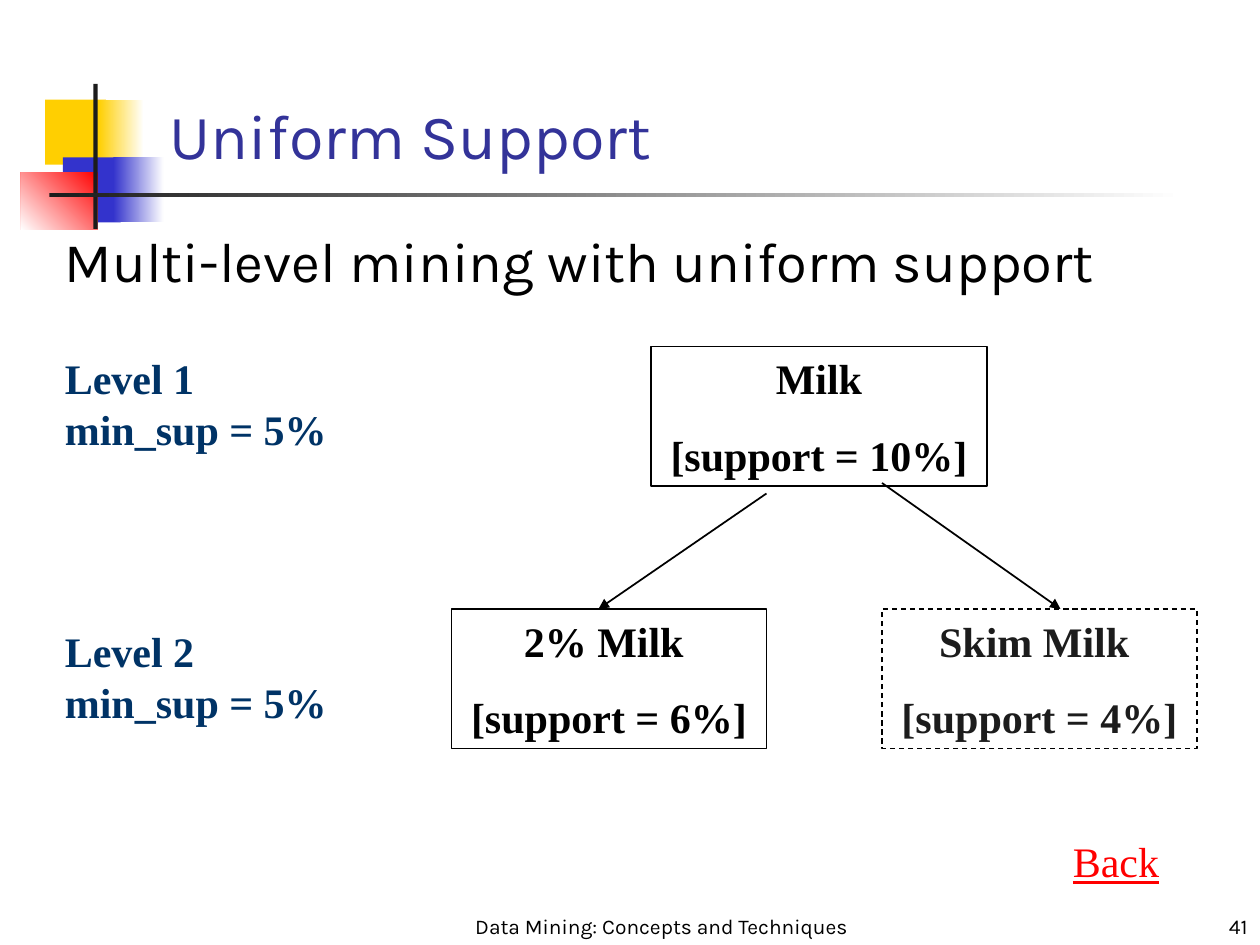
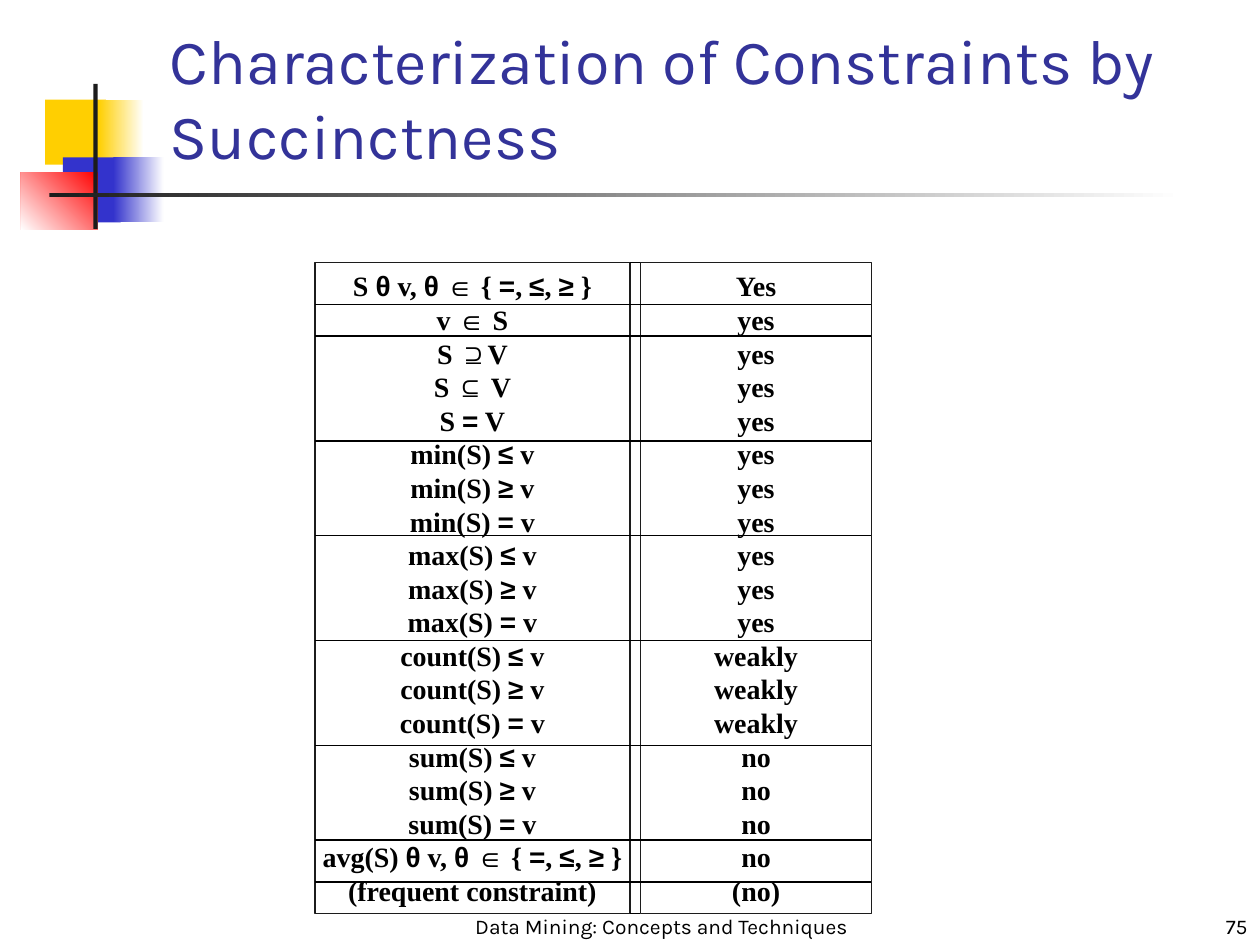
from itertools import groupby

from lxml.etree import SubElement
from pptx import Presentation
from pptx.dml.color import RGBColor
from pptx.enum.dml import MSO_LINE
from pptx.enum.shapes import MSO_CONNECTOR, MSO_SHAPE
from pptx.enum.text import MSO_ANCHOR, PP_ALIGN
from pptx.oxml.ns import qn
from pptx.util import Pt

PX = 7620  # 120 px to the inch

BLACK = RGBColor(0x00, 0x00, 0x00)
WHITE = RGBColor(0xFF, 0xFF, 0xFF)
CHARCOAL = RGBColor(0x1C, 0x1C, 0x1C)
YELLOW = RGBColor(0xFF, 0xCF, 0x01)
BLUE = RGBColor(0x33, 0x33, 0xCC)
RED = RGBColor(0xFF, 0x00, 0x00)
TITLE_BLUE = RGBColor(0x33, 0x33, 0x99)
LEVEL_BLUE = RGBColor(0x00, 0x33, 0x66)

SANS, SERIF, SYMBOL_FONT = "Karla", "Times New Roman", "Arial"
SYMBOLS = "θ∈⊇⊆=≤≥"
FOOTER = "Data Mining: Concepts and Techniques"


def px(*lengths):
    return [length * PX for length in lengths]


def style(p, size, font, color=BLACK, bold=False, align=PP_ALIGN.LEFT):
    p.alignment = align
    p.font.size = Pt(size)
    p.font.name = font
    p.font.color.rgb = color
    p.font.bold = bold


def add_lines(tf, lines, *look, gap=0, **options):
    """Write one styled paragraph per line, with gap points between them."""
    for i, line in enumerate(lines):
        p = tf.paragraphs[0] if i == 0 else tf.add_paragraph()
        p.text = line
        if i and gap:
            p.space_before = Pt(gap)
        style(p, *look, **options)


def add_text(s, box, lines, *look, anchor=MSO_ANCHOR.TOP, wrap=True, **options):
    tf = s.shapes.add_textbox(*px(*box)).text_frame
    tf.word_wrap = wrap
    tf.vertical_anchor = anchor
    add_lines(tf, lines, *look, **options)
    return tf


def add_rect(s, box, fill=None):
    sp = s.shapes.add_shape(MSO_SHAPE.RECTANGLE, *px(*box))
    sp.shadow.inherit = False
    sp.line.fill.background()
    if fill is None:
        sp.fill.background()
    else:
        sp.fill.solid()
        sp.fill.fore_color.rgb = fill
    return sp


def add_fade(s, box, color, angle=0):
    """Add a rectangle fading from color to white."""
    sp = add_rect(s, box)
    sp.fill.gradient()
    sp.fill.gradient_angle = angle
    for stop, shade in zip(sp.fill.gradient_stops, (color, WHITE)):
        stop.color.rgb = shade


def add_line(s, x1, y1, x2, y2, arrow=False):
    line = s.shapes.add_connector(MSO_CONNECTOR.STRAIGHT, *px(x1, y1, x2, y2))
    line.line.color.rgb = BLACK
    line.line.width = Pt(1)
    if arrow:
        SubElement(line.line._get_or_add_ln(), qn("a:tailEnd"), type="triangle")
    SubElement(line._element.spPr, qn("a:effectLst"))


def add_item(s, box, lines, color=BLACK, infrequent=False):
    """Add an itemset box; an infrequent one is dashed and half transparent."""
    sp = add_rect(s, box, WHITE)
    sp.line.color.rgb = BLACK
    sp.line.width = Pt(0.75)
    if infrequent:
        sp.line.dash_style = MSO_LINE.DASH
        rgb = sp._element.spPr.find(qn("a:solidFill")).find(qn("a:srgbClr"))
        SubElement(rgb, qn("a:alpha"), val="50000")
    tf = sp.text_frame
    tf.word_wrap = True
    tf.vertical_anchor = MSO_ANCHOR.TOP
    add_lines(tf, lines, 24, SERIF, color, True, gap=15, align=PP_ALIGN.CENTER)


def add_column(s, box, lines):
    """Add an outlined column of centred lines, with symbols in their own font."""
    sp = add_rect(s, box)
    sp.line.color.rgb = CHARCOAL
    sp.line.width = Pt(1)
    tf = sp.text_frame
    tf.word_wrap = False
    tf.vertical_anchor = MSO_ANCHOR.MIDDLE
    for i, line in enumerate(lines):
        p = tf.paragraphs[0] if i == 0 else tf.add_paragraph()
        style(p, 16, SERIF, bold=True, align=PP_ALIGN.CENTER)
        for is_symbol, chars in groupby(line, lambda c: c in SYMBOLS):
            r = p.add_run()
            r.text = "".join(chars)
            if is_symbol:
                r.font.name = SYMBOL_FONT


def add_base_slide(prs, title, number):
    """Add a slide with the corner ornament, title and footer."""
    s = prs.slides.add_slide(prs.slide_layouts[6])
    add_rect(s, (43, 95, 58, 62), YELLOW)
    add_fade(s, (94, 95, 43, 62), YELLOW)
    add_rect(s, (60, 150, 55, 62), BLUE)
    add_fade(s, (108, 150, 48, 62), BLUE)
    add_fade(s, (20, 164, 73, 55), RED, 225)
    add_rect(s, (89, 80, 4, 138), CHARCOAL)
    add_fade(s, (47, 184, 1080, 4), CHARCOAL)
    bottom = MSO_ANCHOR.BOTTOM
    add_text(s, (150, 90, 1022, 80), [title], 36, SANS, TITLE_BLUE, anchor=bottom)
    add_text(s, (440, 850, 380, 50), [FOOTER], 12, SANS,
             anchor=bottom, align=PP_ALIGN.CENTER)
    add_text(s, (950, 850, 250, 50), [str(number)], 12, SANS,
             anchor=bottom, align=PP_ALIGN.RIGHT)
    return s


def add_uniform_support(prs):
    s = add_base_slide(prs, "Uniform Support", 41)
    add_text(s, (50, 210, 1100, 130),
             ["Multi-level mining with uniform support"], 32, SANS)
    add_item(s, (620, 330, 320, 133), ["Milk", "[support = 10%]"])
    add_item(s, (430, 580, 300, 133), ["2% Milk ", "[support = 6%]"])
    add_item(s, (840, 580, 300, 133), ["Skim Milk ", "[support = 4%]"],
             CHARCOAL, infrequent=True)
    add_line(s, 730, 470, 570, 580, arrow=True)
    add_line(s, 840, 460, 1010, 580, arrow=True)
    for level, y in ((1, 330), (2, 590)):
        add_text(s, (50, y, 274, 108), [f"Level {level}", "min_sup = 5%"],
                 24, SERIF, LEVEL_BLUE, True, wrap=False)
    back = add_text(s, (1010, 790, 106, 60), ["Back"], 24, SERIF, RED, wrap=False)
    back.paragraphs[0].font.underline = True


def add_succinctness(prs):
    s = add_base_slide(prs, "Characterization of Constraints by Succinctness", 75)
    any_comparison = "θ v, θ ∈ { =, ≤, ≥ }"
    rows = [(f"S {any_comparison}", "Yes")]
    rows += [(c, "yes") for c in ("v ∈ S", "S ⊇V", "S ⊆ V", "S = V")]
    answers = {"min": "yes", "max": "yes", "count": "weakly", "sum": "no"}
    rows += [(f"{function}(S) {op} v", answer)
             for function, answer in answers.items() for op in "≤≥="]
    rows += [(f"avg(S) {any_comparison}", "no"), ("(frequent constraint)", "(no)")]

    top, bottom = 250, 870
    constraints, succinct = zip(*rows)
    add_column(s, (300, top, 300, bottom - top), constraints)
    add_column(s, (610, top, 220, bottom - top), succinct)
    for y in (290, 320, 420, 510, 610, 710, 800, 840):
        add_line(s, 300, y, 830, y)
    for y in (top, bottom):
        add_line(s, 600, y, 610, y)


def main():
    prs = Presentation()
    prs.slide_width, prs.slide_height = px(1200, 900)
    add_uniform_support(prs)
    add_succinctness(prs)
    prs.save("out.pptx")


if __name__ == "__main__":
    main()
